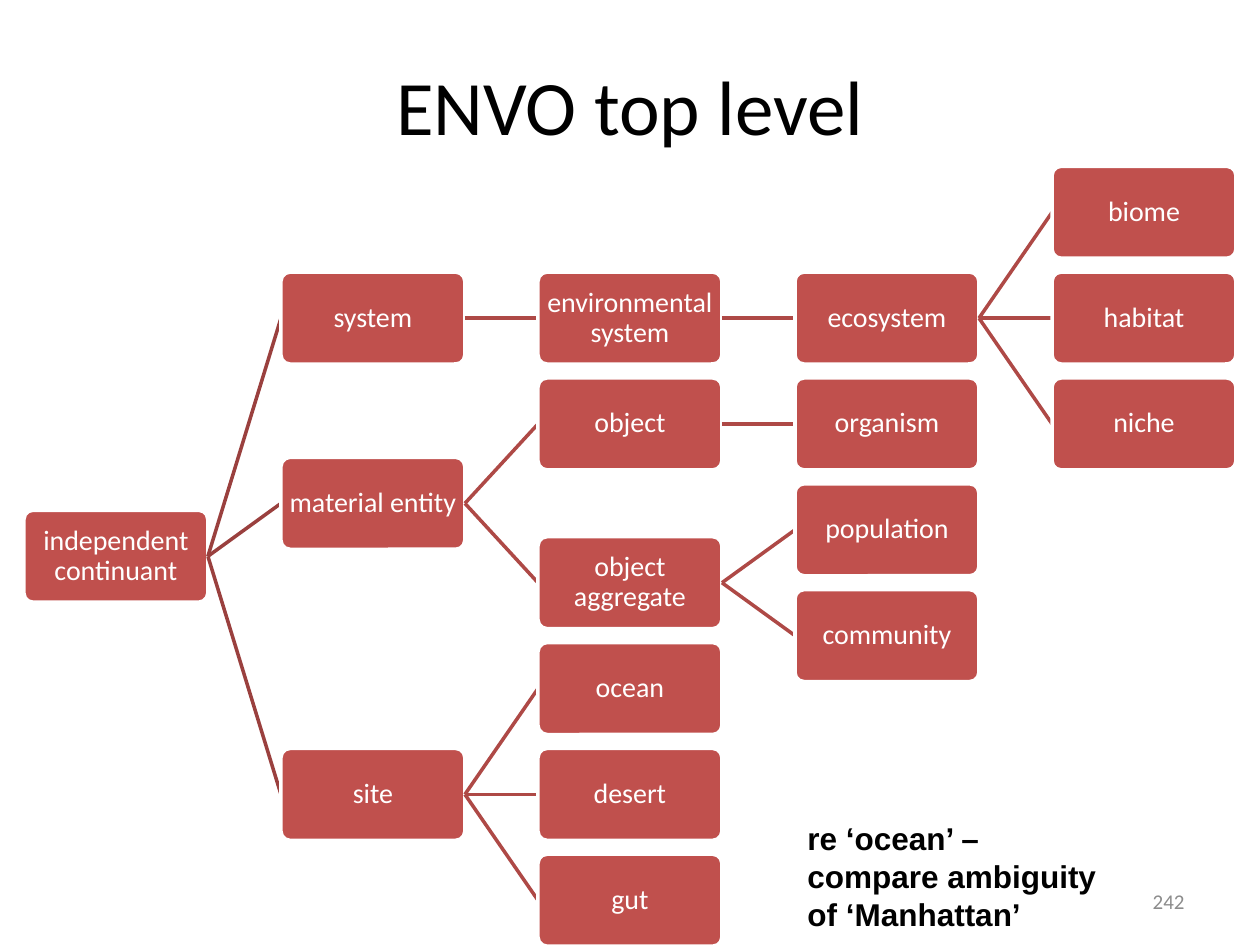
from dataclasses import dataclass

from lxml.etree import SubElement
from pptx import Presentation
from pptx.dml.color import RGBColor
from pptx.enum.shapes import MSO_CONNECTOR, MSO_SHAPE
from pptx.enum.text import MSO_ANCHOR, PP_ALIGN
from pptx.oxml.ns import qn
from pptx.util import Inches, Pt

LEFT, TOP = 0.19, 1.32
COLUMN_PITCH, ROW_PITCH = 2.04, 0.84
BOX_W, BOX_H = 1.46, 0.73


@dataclass
class Node:
    label: str
    leaf_row: float = 0
    children: tuple["Node", ...] = ()

    @property
    def row(self) -> float:
        if not self.children:
            return self.leaf_row
        return (self.children[0].row + self.children[-1].row) / 2

    @property
    def middle(self) -> float:
        return TOP + self.row * ROW_PITCH + BOX_H / 2


def parent(label: str, *children: Node) -> Node:
    return Node(label, children=children)


TREE = parent(
    "independent continuant",
    parent("system", parent("environmental system", parent(
        "ecosystem", Node("biome", 0), Node("habitat", 1), Node("niche", 2)))),
    parent(
        "material entity",
        parent("object", Node("organism", 2)),
        parent("object aggregate", Node("population", 3), Node("community", 4))),
    parent("site", Node("ocean", 4.5), Node("desert", 5.5), Node("gut", 6.5)),
)


def rgb(value: str) -> RGBColor:
    return RGBColor.from_string(value)


def write(s, text: str, size: float, color: str, align: PP_ALIGN,
          font: str = "Calibri", bold: bool = False,
          anchor: MSO_ANCHOR = MSO_ANCHOR.MIDDLE):
    tf = s.text_frame
    tf.word_wrap = True
    tf.vertical_anchor = anchor
    p = tf.paragraphs[0]
    p.text = text
    p.alignment = align
    p.font.name = font
    p.font.size = Pt(size)
    p.font.bold = bold
    p.font.color.rgb = rgb(color)
    return tf


def add_text(slide, x: float, y: float, w: float, h: float, *args, **style) -> None:
    s = slide.shapes.add_textbox(Inches(x), Inches(y), Inches(w), Inches(h))
    write(s, *args, **style)


def add_box(slide, node: Node, x: float) -> None:
    s = slide.shapes.add_shape(
        MSO_SHAPE.ROUNDED_RECTANGLE, Inches(x), Inches(node.middle - BOX_H / 2),
        Inches(BOX_W), Inches(BOX_H))
    s.adjustments[0] = 0.1
    s.shadow.inherit = False
    s.fill.solid()
    s.fill.fore_color.rgb = rgb("C0504D")
    s.line.color.rgb = rgb("FFFFFF")
    s.line.width = Pt(2)
    tf = write(s, node.label, 16, "FFFFFF", PP_ALIGN.CENTER)
    tf.margin_left = tf.margin_right = tf.margin_top = tf.margin_bottom = Inches(0.01)
    tf.paragraphs[0].line_spacing = 0.9


def add_link(slide, x1: float, y1: float, x2: float, y2: float, color: str) -> None:
    s = slide.shapes.add_connector(
        MSO_CONNECTOR.STRAIGHT, Inches(x1), Inches(y1), Inches(x2), Inches(y2))
    s.line.color.rgb = rgb(color)
    s.line.width = Pt(2)
    SubElement(s._element.spPr, qn("a:effectLst"))


def add_branch(slide, node: Node, depth: int = 0) -> None:
    """Draw a node, then a link and a branch for each of its children."""
    x = LEFT + depth * COLUMN_PITCH
    add_box(slide, node, x)
    color = "AE4946" if depth else "9A403E"
    for child in node.children:
        add_link(slide, x + BOX_W, node.middle, x + COLUMN_PITCH, child.middle, color)
        add_branch(slide, child, depth + 1)


def main() -> None:
    prs = Presentation()
    prs.slide_width, prs.slide_height = Inches(10), Inches(7.5)
    slide = prs.slides.add_slide(prs.slide_layouts[6])
    add_text(slide, 0, 0, 10, 1.67, "ENVO top level", 44, "000000", PP_ALIGN.CENTER)
    add_text(slide, 7.17, 6.95, 2.33, 0.4, "242", 12, "8C8C8C", PP_ALIGN.RIGHT)
    add_branch(slide, TREE)
    add_text(slide, 6.31, 6.45, 2.62, 1.01,
             "re ‘ocean’ – compare ambiguity of ‘Manhattan’", 18, "000000",
             PP_ALIGN.LEFT, font="Arial", bold=True, anchor=MSO_ANCHOR.TOP)
    prs.save("out.pptx")


if __name__ == "__main__":
    main()
